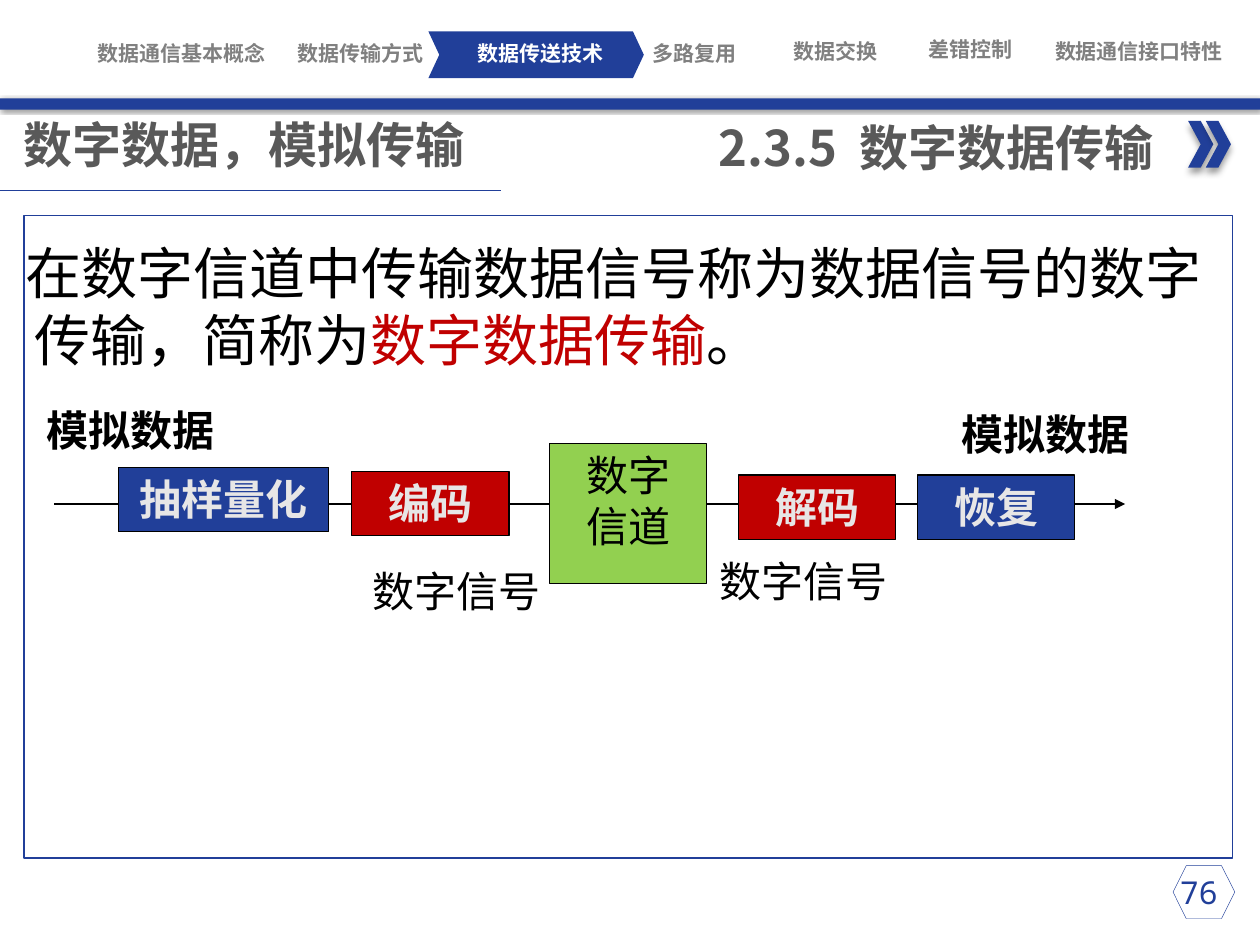
from lxml import etree
from pptx import Presentation
from pptx.dml.color import RGBColor
from pptx.enum.shapes import MSO_CONNECTOR, MSO_SHAPE as Shape
from pptx.enum.text import MSO_ANCHOR as Anchor, MSO_AUTO_SIZE as AutoSize, PP_ALIGN as Align
from pptx.oxml import parse_xml
from pptx.oxml.ns import nsdecls, qn
from pptx.util import Inches, Pt

BLUE = RGBColor(0x21, 0x3F, 0x99)
RED = RGBColor(0xC0, 0x00, 0x00)
GREEN = RGBColor(0x92, 0xD0, 0x50)
BLACK = RGBColor(0x00, 0x00, 0x00)
WHITE = RGBColor(0xFF, 0xFF, 0xFF)
GRAY = RGBColor(0x80, 0x80, 0x80)
DARK = RGBColor(0x59, 0x59, 0x59)
PALE = RGBColor(0xE7, 0xE6, 0xE6)

CJK = "Noto Sans CJK SC"
COLS, ROWS = 100, 75


def write(tf, text, size=24, color=BLACK, bold=False, font="Calibri",
          align=Align.LEFT, anchor=Anchor.TOP, inset=None, wrap=True):
    """Fill a frame; text is a list of paragraphs, each a list of (text, color or None)."""
    if isinstance(text, str):
        text = [[(line, None)] for line in text.split("\n")]
    tf.word_wrap, tf.auto_size, tf.vertical_anchor = wrap, AutoSize.NONE, anchor
    if inset is not None:
        tf.margin_left = tf.margin_right = tf.margin_top = tf.margin_bottom = inset
    for i, runs in enumerate(text):
        p = tf.add_paragraph() if i else tf.paragraphs[0]
        p.alignment = align
        p.space_before = Pt(0)
        for part, tint in runs:
            r = p.add_run()
            r.text = part
            f = r.font
            f.size, f.bold, f.name = Pt(size), bold, font
            f.color.rgb = tint or color
            latin = r._r.rPr.find(qn("a:latin"))
            latin.addnext(parse_xml(f'<a:ea {nsdecls("a")} typeface="{CJK}"/>'))


class Deck:
    """Style and current slide; places are columns and rows of a 100 by 75 grid."""

    def __init__(self):
        self.prs = prs = Presentation()
        prs.slide_width, prs.slide_height = Inches(10), Inches(7.5)
        self.col, self.row = prs.slide_width / COLS, prs.slide_height / ROWS
        self.s = prs.slides.add_slide(prs.slide_layouts[1])

    def place(self, x, y, w, h):
        return int(x * self.col), int(y * self.row), int(w * self.col), int(h * self.row)

    def holder(self, index, box, text, **fmt):
        sp = self.s.placeholders[index]
        sp.left, sp.top, sp.width, sp.height = self.place(*box)
        write(sp.text_frame, text, **fmt)
        return sp

    def text(self, box, text, **fmt):
        write(self.s.shapes.add_textbox(*self.place(*box)).text_frame, text, **fmt)

    def shape(self, kind, box, fill=None, line=None, width=0.75, adj=None, shapes=None):
        sp = (shapes or self.s.shapes).add_shape(kind, *self.place(*box))
        sp.shadow.inherit = False
        if fill is None:
            sp.fill.background()
        else:
            sp.fill.solid()
            sp.fill.fore_color.rgb = fill
        if line is None:
            sp.line.fill.background()
        else:
            sp.line.color.rgb, sp.line.width = line, Pt(width)
        if adj is not None:
            sp.adjustments[0] = adj
        return sp

    def block(self, box, text, fill, **fmt):
        sp = self.shape(Shape.RECTANGLE, box, fill, BLACK)
        write(sp.text_frame, text, align=Align.CENTER, **fmt)

    def line(self, x1, x2, y, color, width, arrow=False):
        x1, y, x2, _ = self.place(x1, y, x2, 0)
        cn = self.s.shapes.add_connector(MSO_CONNECTOR.STRAIGHT, x1, y, x2, y)
        cn.line.color.rgb, cn.line.width = color, Pt(width)
        if arrow:
            etree.SubElement(cn.line._get_or_add_ln(), qn("a:tailEnd"), type="triangle")
        etree.SubElement(cn._element.spPr, qn("a:effectLst"))


def drop_shadow(sp, blur, dist, angle):
    effects = sp._element.spPr.find(qn("a:effectLst"))
    effects.append(parse_xml(
        f'<a:outerShdw {nsdecls("a")} blurRad="{Pt(blur)}" dist="{Pt(dist)}" '
        f'dir="{angle * 60000}" algn="ctr" rotWithShape="0">'
        '<a:srgbClr val="000000"><a:alpha val="40000"/></a:srgbClr></a:outerShdw>'))


def add_navigation(d):
    d.shape(Shape.CHEVRON, (34, 2.5, 17.1, 3.7), BLUE, adj=0.234)
    topics = [("数据通信基本概念", 14.4, 3.2), ("数据传输方式", 28.6, 3.2),
              ("数据传送技术", 42.9, 3.2), ("多路复用", 55.1, 3.2),
              ("数据交换", 66.3, 3.1), ("差错控制", 77, 2.9),
              ("数据通信接口特性", 90.4, 3.1)]
    for topic, center, y in topics:
        d.text((center - 9.6, y, 19.2, 2), topic, size=12, bold=True,
               color=WHITE if topic == "数据传送技术" else GRAY,
               font="Roboto Condensed", align=Align.CENTER, anchor=Anchor.MIDDLE, inset=0)
    drop_shadow(d.shape(Shape.RECTANGLE, (0, 7.8, 100, 0.9), BLUE), 2, 1, 45)


def add_headings(d):
    heading = dict(size=28, color=DARK, bold=True, font=CJK)
    d.holder(0, (0.9, 8.6, 47, 5.7), "数字数据，模拟传输", **heading)
    d.text((53.9, 8.8, 38.6, 5.7), "2.3.5  数字数据传输", align=Align.RIGHT, wrap=False, **heading)
    d.line(0, 39.8, 15.1, BLUE, 0.5)
    group = d.s.shapes.add_group_shape()
    for x in (94.3, 95.7):
        sp = d.shape(Shape.CHEVRON, (x, 9.6, 2, 3.7), BLUE, shapes=group.shapes)
        drop_shadow(sp, 4, 3, 90)


def add_body(d):
    d.shape(Shape.RECTANGLE, (1.9, 17.1, 95.9, 51), line=BLUE)
    sp = d.holder(1, (1, 18.4, 96.9, 11.8),
                  [[("在数字信道中传输数据信号称为数据信号的数字传输，简称为", None),
                    ("数字数据传输", RED), ("。", None)]], size=32, font=CJK)
    pPr = sp.text_frame.paragraphs[0]._p.get_or_add_pPr()
    pPr.set("marL", str(Inches(0.07)))
    pPr.set("indent", str(-Inches(0.07)))
    etree.SubElement(pPr, qn("a:buNone"))


def add_flow(d):
    d.line(4.3, 89.3, 40, BLACK, 0.75, arrow=True)
    steps = [("抽样量化", 9.4, 37.1, 16.7, BLUE), ("编码", 27.9, 37.4, 12.5, RED),
             ("解码", 58.6, 37.7, 12.5, RED), ("恢复", 72.8, 37.7, 12.5, BLUE)]
    for step, x, y, w, fill in steps:
        d.block((x, y, w, 5.1), step, fill, color=PALE, bold=True)
    d.block((43.6, 35.2, 12.5, 11.1), "数字\n信道", GREEN)
    labels = [("模拟数据", 2.7, 31.6, True), ("模拟数据", 75.3, 31.9, True),
              ("数字信号", 28.6, 44.4, False), ("数字信号", 56.1, 43.6, False)]
    for label, x, y, bold in labels:
        d.text((x, y, 16.7, 5), label, bold=bold, wrap=False)


def add_page_number(d):
    d.shape(Shape.HEXAGON, (93.1, 68.7, 4.9, 4.2), line=BLUE, width=0.25)
    d.text((90.8, 68.8, 8.7, 4), "76", size=18, color=BLUE,
           font="Noto Sans Mono", align=Align.CENTER)


def main():
    d = Deck()
    for add in (add_navigation, add_headings, add_body, add_flow, add_page_number):
        add(d)
    d.prs.save("out.pptx")


if __name__ == "__main__":
    main()
